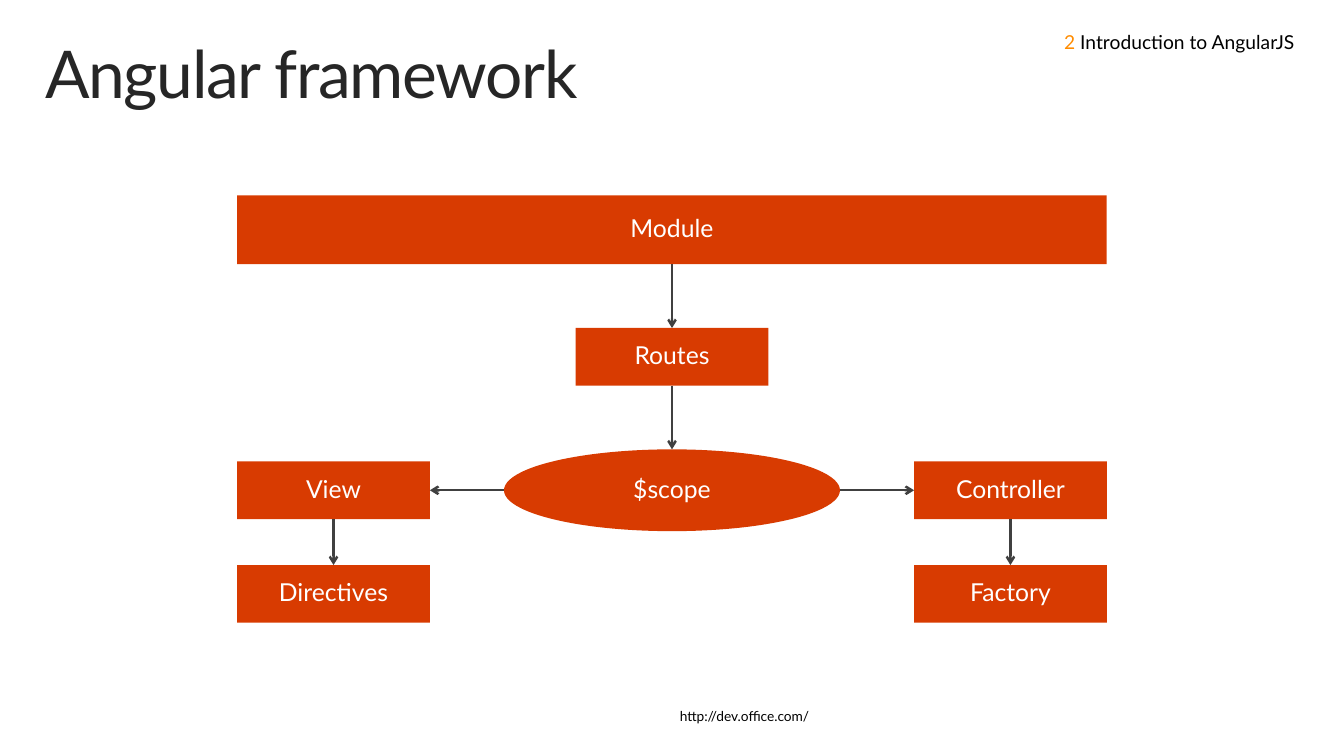
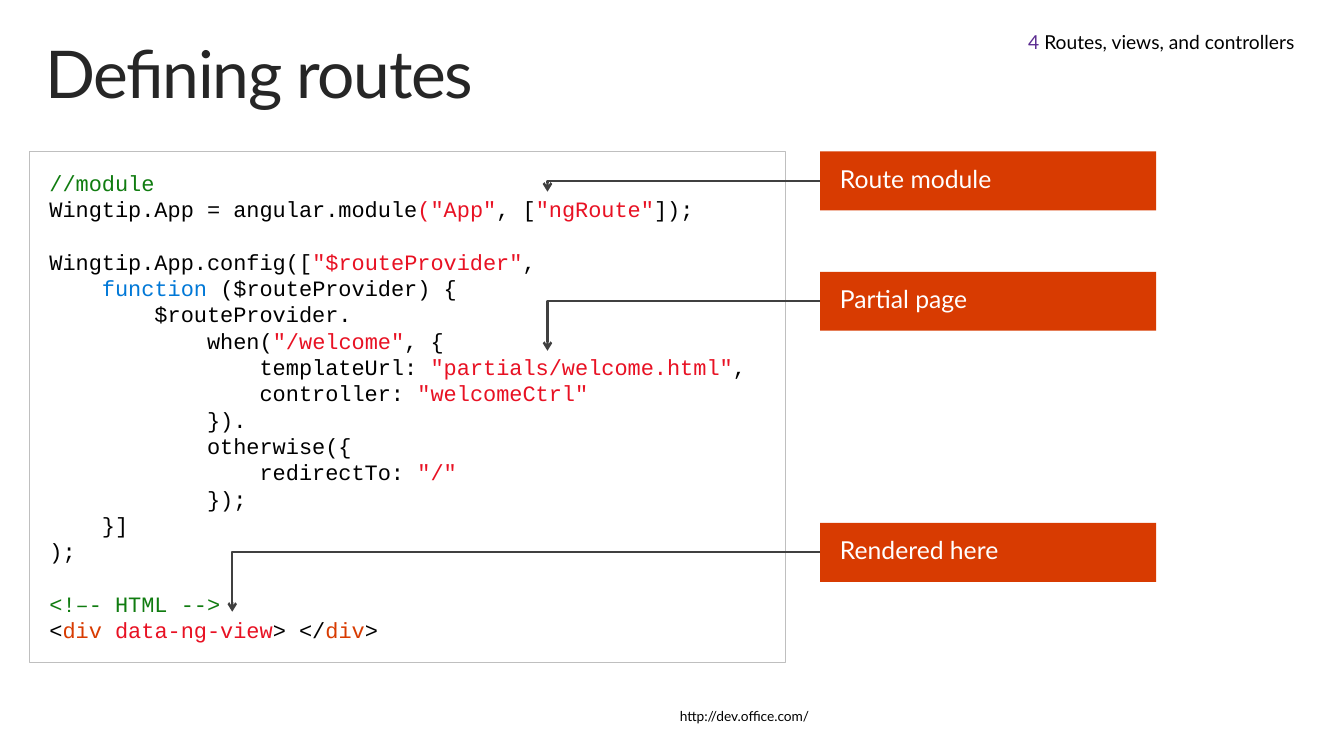
from dataclasses import dataclass

from lxml import etree
from pptx import Presentation
from pptx.dml.color import RGBColor
from pptx.enum.shapes import MSO_CONNECTOR, MSO_SHAPE
from pptx.enum.text import MSO_ANCHOR, PP_ALIGN
from pptx.oxml.ns import qn
from pptx.util import Pt

RECTANGLE = MSO_SHAPE.RECTANGLE
OVAL = MSO_SHAPE.OVAL
STRAIGHT = MSO_CONNECTOR.STRAIGHT
TOP = MSO_ANCHOR.TOP
MIDDLE = MSO_ANCHOR.MIDDLE
LEFT = PP_ALIGN.LEFT
CENTER = PP_ALIGN.CENTER
RIGHT = PP_ALIGN.RIGHT


@dataclass(frozen=True)
class Theme:
    font: str = "Lato"
    code_font: str = "Courier New"
    title_size: float = 48
    label_size: float = 18
    code_size: float = 16
    code_leading: float = 19.2
    chapter_size: float = 14
    footer_size: float = 10
    title: str = "262626"
    text: str = "000000"
    white: str = "FFFFFF"
    accent: str = "D83B01"
    arrow: str = "404040"
    frame: str = "BFBFBF"
    comment: str = "107C10"
    string: str = "E81123"
    keyword: str = "0078D7"
    orange: str = "FF8C00"
    purple: str = "5C2D91"


THEME = Theme()
WIDTH, HEIGHT = 979.2, 550.8
NODE_WIDTH, NODE_HEIGHT = 140.4, 42
CALLOUT_LEFT, CALLOUT_WIDTH, CALLOUT_HEIGHT = 597.6, 244.8, 43
PLAIN, COMMENT, STRING, TAG = THEME.text, THEME.comment, THEME.string, THEME.accent

CODE_BLOCKS = [
    [
        [("//module", COMMENT)],
        [("Wingtip.App = angular.module", PLAIN), ('("App"', STRING), (", [", PLAIN),
         ('"ngRoute"', STRING), ("]);", PLAIN)],
    ],
    [
        [("Wingtip.App.config([", PLAIN), ('"$routeProvider"', STRING), (",", PLAIN)],
        [("    ", PLAIN), ("function ", THEME.keyword), ("($routeProvider) {", PLAIN)],
        [("        $routeProvider.", PLAIN)],
        [("            when(", PLAIN), ('"/welcome"', STRING), (", {", PLAIN)],
        [("                templateUrl: ", PLAIN), ('"partials/welcome.html"', STRING), (",", PLAIN)],
        [("                controller: ", PLAIN), ('"welcomeCtrl"', STRING)],
        [("            }).", PLAIN)],
        [("            otherwise({", PLAIN)],
        [("                redirectTo: ", PLAIN), ('"/"', STRING)],
        [("            });", PLAIN)],
        [("    }]", PLAIN)],
        [(");", PLAIN)],
    ],
    [
        [("<!–- HTML -->", COMMENT)],
        [("<", PLAIN), ("div ", TAG), ("data-ng-view", STRING), ("> </", PLAIN),
         ("div", TAG), (">", PLAIN)],
    ],
]

CALLOUTS = [
    ("Route module", 110.2, 398.9, 139.7),
    ("Partial page", 198, 398.9, 255.6),
    ("Rendered here", 380.9, 169.2, 445.7),
]


def color(value):
    return RGBColor.from_string(value)


def write_text(shape, blocks, *, size, font=THEME.font, spacing=0.9, align=LEFT,
               anchor=TOP, inset=(7.2, 3.6), tracking=None, wrap=True):
    frame = shape.text_frame
    frame.word_wrap = wrap
    frame.vertical_anchor = anchor
    frame.margin_left = frame.margin_right = Pt(inset[0])
    frame.margin_top = frame.margin_bottom = Pt(inset[1])
    paragraph = None
    for block in blocks:
        for index, runs in enumerate(block):
            starts_block = paragraph is not None and index == 0
            paragraph = frame.add_paragraph() if paragraph is not None else frame.paragraphs[0]
            paragraph.alignment = align
            paragraph.line_spacing = spacing
            if starts_block:
                paragraph.space_before = spacing
            for text, run_color in runs:
                run = paragraph.add_run()
                run.text = text
                run.font.name = font
                run.font.size = Pt(size)
                run.font.color.rgb = color(run_color)
                if tracking:
                    run.font._element.set("spc", str(tracking))


def add_label(slide, runs, left, top, width, height, **text_format):
    box = slide.shapes.add_textbox(Pt(left), Pt(top), Pt(width), Pt(height))
    write_text(box, [[runs]], **text_format)


def add_box(slide, left, top, width, height, *, kind=RECTANGLE, fill=None, line=None):
    shape = slide.shapes.add_shape(kind, Pt(left), Pt(top), Pt(width), Pt(height))
    shape.shadow.inherit = False
    if fill:
        shape.fill.solid()
        shape.fill.fore_color.rgb = color(fill)
    else:
        shape.fill.background()
    if line:
        shape.line.color.rgb = color(line)
        shape.line.width = Pt(0.75)
    else:
        shape.line.fill.background()
    return shape


def add_node(slide, text, center_x, center_y, width=NODE_WIDTH, height=NODE_HEIGHT, kind=RECTANGLE):
    shape = add_box(slide, center_x - width / 2, center_y - height / 2, width, height,
                    kind=kind, fill=THEME.accent)
    write_text(shape, [[[(text, THEME.white)]]], size=THEME.label_size, align=CENTER, anchor=MIDDLE)
    return shape


def style_arrow(shape):
    shape.line.color.rgb = color(THEME.arrow)
    shape.line.width = Pt(1.75)
    etree.SubElement(shape.line._get_or_add_ln(), qn("a:tailEnd"), type="arrow")


def add_arrow(slide, start_x, start_y, end_x, end_y):
    connector = slide.shapes.add_connector(STRAIGHT, start_x, start_y, end_x, end_y)
    style_arrow(connector)
    etree.SubElement(connector._element.spPr, qn("a:effectLst"))


def add_down_arrow(slide, upper, lower):
    middle = upper.left + upper.width // 2
    add_arrow(slide, middle, upper.top + upper.height, middle, lower.top)


def add_elbow_arrow(slide, start_x, start_y, end_x, end_y):
    builder = slide.shapes.build_freeform(Pt(start_x), Pt(start_y))
    corners = [(Pt(end_x), Pt(start_y)), (Pt(end_x), Pt(end_y))]
    builder.add_line_segments(corners, close=False)
    shape = builder.convert_to_shape()
    shape.shadow.inherit = False
    shape.fill.background()
    style_arrow(shape)


def add_slide(presentation, title, number, number_color, chapter):
    slide = presentation.slides.add_slide(presentation.slide_layouts[6])
    add_label(slide, [("http://dev.office.com/", THEME.text)], 483.8, 511.9, 119.5, 25.2,
              size=THEME.footer_size, inset=(11.5, 7.2), wrap=False)
    add_label(slide, [(title, THEME.title)], 21.6, 23, 936, 72,
              size=THEME.title_size, inset=(11.5, 7.2), tracking=-100)
    add_label(slide, [(number, number_color), (f" {chapter}", THEME.text)], 627, 16, 330.6, 29.5,
              size=THEME.chapter_size, spacing=1.0, align=RIGHT, anchor=MIDDLE, inset=(14.4, 3.6))
    return slide


def build_framework(presentation):
    slide = add_slide(presentation, "Angular framework", "2", THEME.orange, "Introduction to AngularJS")
    center, offset = WIDTH / 2, 246.6
    left, right = center - offset, center + offset
    scope_row, bottom_row = 357.2, 432.7
    module = add_node(slide, "Module", center, 167.4, 2 * offset + NODE_WIDTH, 50)
    routes = add_node(slide, "Routes", center, 260)
    view = add_node(slide, "View", left, scope_row)
    controller = add_node(slide, "Controller", right, scope_row)
    directives = add_node(slide, "Directives", left, bottom_row)
    factory = add_node(slide, "Factory", right, bottom_row)
    scope = add_node(slide, "$scope", center, scope_row, 244.8, 59.6, OVAL)
    for upper, lower in [(module, routes), (routes, scope), (view, directives), (controller, factory)]:
        add_down_arrow(slide, upper, lower)
    row = Pt(scope_row)
    add_arrow(slide, scope.left, row, view.left + view.width, row)
    add_arrow(slide, scope.left + scope.width, row, controller.left, row)


def build_routes(presentation):
    slide = add_slide(presentation, "Defining routes", "4", THEME.purple, "Routes, views, and controllers")
    code = add_box(slide, 21.6, 110.2, 550.8, 372.2, line=THEME.frame)
    write_text(code, CODE_BLOCKS, size=THEME.code_size, font=THEME.code_font,
               spacing=Pt(THEME.code_leading), inset=(14.4, 13))
    for text, top, target_x, target_y in CALLOUTS:
        callout = add_box(slide, CALLOUT_LEFT, top, CALLOUT_WIDTH, CALLOUT_HEIGHT, fill=THEME.accent)
        write_text(callout, [[[(text, THEME.white)]]], size=THEME.label_size, inset=(14.4, 11.5))
        add_elbow_arrow(slide, CALLOUT_LEFT, top + CALLOUT_HEIGHT / 2, target_x, target_y)


def main():
    presentation = Presentation()
    presentation.slide_width = Pt(WIDTH)
    presentation.slide_height = Pt(HEIGHT)
    build_framework(presentation)
    build_routes(presentation)
    presentation.save("out.pptx")


if __name__ == "__main__":
    main()
